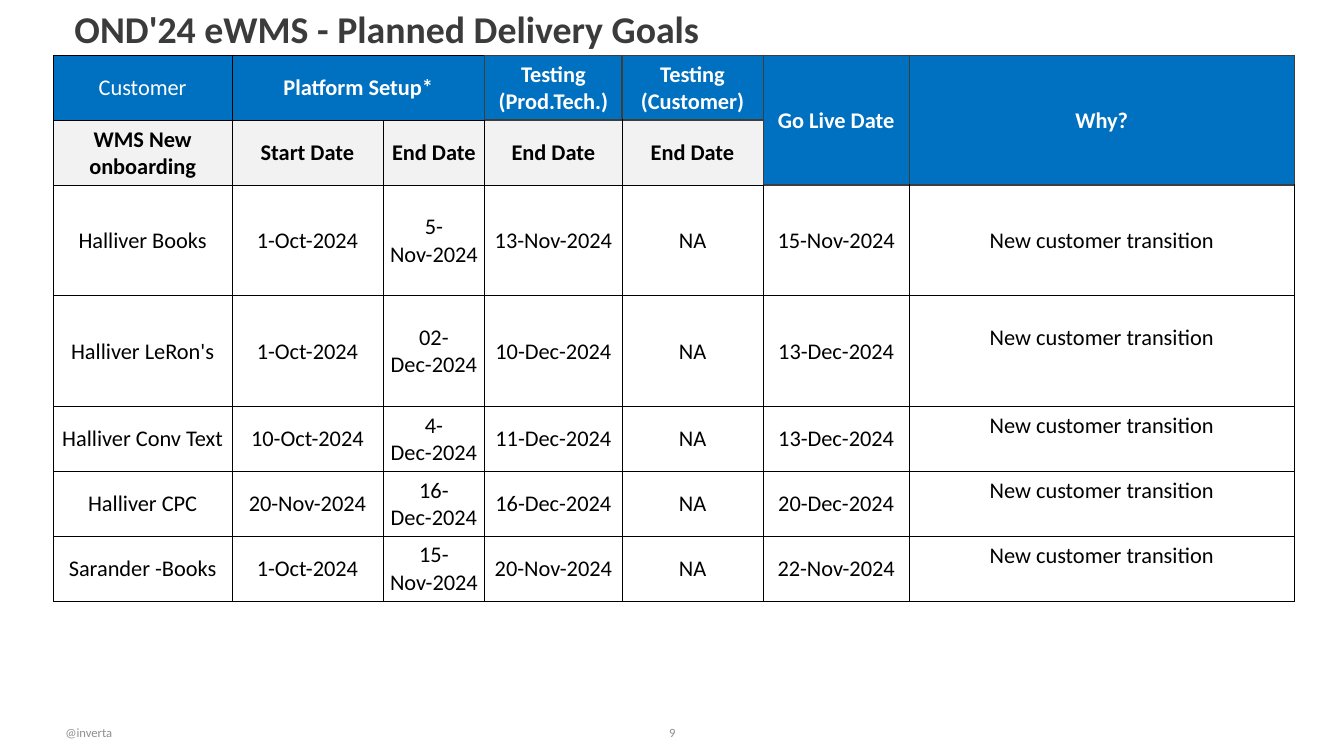
from dataclasses import dataclass

from lxml.etree import SubElement
from pptx import Presentation
from pptx.dml.color import RGBColor
from pptx.enum.text import MSO_ANCHOR as Anchor, MSO_AUTO_SIZE as AutoSize, PP_ALIGN as Align
from pptx.oxml.ns import qn
from pptx.util import Pt


@dataclass(frozen=True)
class Theme:
    font: str = "Calibri"
    title: str = "3B3B3B"
    footer: str = "8D8E8E"
    header: str = "0070C0"
    subheader: str = "F2F2F2"
    white: str = "FFFFFF"
    black: str = "000000"
    header_line: str = "3D3D3D"
    title_size: float = 27
    table_size: float = 16
    footer_size: float = 9


THEME = Theme()

COLUMN_WIDTHS = [127.4, 108, 72.7, 98, 100.8, 104.4, 275]
HEADER_HEIGHT, TALL_HEIGHT, ROW_HEIGHT = 46.4, 79, 46.4
LINE_HEIGHT = 19.5
WHY = "New customer transition"
HEADERS = [
    ["Customer", "Platform Setup*", "", "Testing\n(Prod.Tech.)", "Testing\n(Customer)",
     "Go Live Date", "Why?"],
    ["WMS New onboarding", "Start Date", "End Date", "End Date", "End Date", "", ""],
]
GOALS = [
    ["Halliver Books", "1-Oct-2024", "5-Nov-2024", "13-Nov-2024", "NA", "15-Nov-2024", WHY],
    ["Halliver LeRon's", "1-Oct-2024", "02-Dec-2024", "10-Dec-2024", "NA", "13-Dec-2024", WHY],
    ["Halliver Conv Text", "10-Oct-2024", "4-Dec-2024", "11-Dec-2024", "NA", "13-Dec-2024", WHY],
    ["Halliver CPC", "20-Nov-2024", "16-Dec-2024", "16-Dec-2024", "NA", "20-Dec-2024", WHY],
    ["Sarander -Books", "1-Oct-2024", "15-Nov-2024", "20-Nov-2024", "NA", "22-Nov-2024", WHY],
]
WHY_COLUMN = len(COLUMN_WIDTHS) - 1


def write(frame, text, size, color, bold=False, align=Align.LEFT):
    frame.text = text
    for para in frame.paragraphs:
        para.alignment = align
        for span in para.runs:
            span.font.name = THEME.font
            span.font.size = Pt(size)
            span.font.bold = bold
            span.font.color.rgb = RGBColor.from_string(color)


def place(shape, left, top, width, height):
    shape.left, shape.top, shape.width, shape.height = map(Pt, (left, top, width, height))


def add_title(page, text, box):
    title = page.shapes.title
    place(title, *box)
    frame = title.text_frame
    write(frame, text, THEME.title_size, THEME.title, bold=True)
    frame.auto_size = AutoSize.NONE
    frame.vertical_anchor = Anchor.MIDDLE
    frame.paragraphs[0].line_spacing = 0.9


def add_footer(page, text, box, align):
    frame = page.shapes.add_textbox(*map(Pt, box)).text_frame
    frame.word_wrap = True
    frame.vertical_anchor = Anchor.MIDDLE
    write(frame, text, THEME.footer_size, THEME.footer, align=align)


def set_borders(cell, color, width):
    properties = cell._tc.get_or_add_tcPr()
    for index, side in enumerate(("lnL", "lnR", "lnT", "lnB")):
        line = SubElement(properties, qn(f"a:{side}"), w=str(Pt(width)))
        SubElement(SubElement(line, qn("a:solidFill")), qn("a:srgbClr"), val=color)
        properties.insert(index, line)


def style_cell(cell, row, column, text):
    in_header = row < len(HEADERS)
    is_blue = row == 0 or (in_header and column >= 5)
    fill = THEME.header if is_blue else THEME.subheader if in_header else THEME.white
    cell.fill.solid()
    cell.fill.fore_color.rgb = RGBColor.from_string(fill)
    if is_blue and column >= 3:
        set_borders(cell, THEME.header_line, 1)
    else:
        set_borders(cell, THEME.black, 0.5)
    cell.vertical_anchor = Anchor.MIDDLE
    cell.margin_left = cell.margin_right = cell.margin_top = Pt(0.75)
    # The reasons below the first customer sit half a line above the middle.
    raised = column == WHY_COLUMN and row > len(HEADERS)
    cell.margin_bottom = Pt(LINE_HEIGHT if raised else 0)
    write(cell.text_frame, text, THEME.table_size, THEME.white if is_blue else THEME.black,
          bold=in_header and (row, column) != (0, 0), align=Align.CENTER)


def add_goals_table(page, left, top):
    content = HEADERS + GOALS
    heights = [HEADER_HEIGHT] * 2 + [TALL_HEIGHT] * 2 + [ROW_HEIGHT] * 3
    table = page.shapes.add_table(len(content), len(COLUMN_WIDTHS), Pt(left), Pt(top),
                                  Pt(sum(COLUMN_WIDTHS)), Pt(sum(heights))).table
    table.first_row = table.horz_banding = False
    for column, width in zip(table.columns, COLUMN_WIDTHS):
        column.width = Pt(width)
    for row, height in zip(table.rows, heights):
        row.height = Pt(height)
    for row, texts in enumerate(content):
        for column, text in enumerate(texts):
            style_cell(table.cell(row, column), row, column, text)
    table.cell(0, 1).merge(table.cell(0, 2))
    for column in (5, 6):
        table.cell(0, column).merge(table.cell(1, column))


def main():
    deck = Presentation()
    deck.slide_width, deck.slide_height = Pt(960), Pt(540)
    page = deck.slides.add_slide(deck.slide_layouts[5])
    add_title(page, "OND'24 eWMS - Planned Delivery Goals", (46, 0, 868, 45))
    add_footer(page, "@inverta", (39.6, 508.5, 83.5, 28.8), Align.LEFT)
    add_footer(page, "9", (463, 508.5, 34.5, 28.8), Align.CENTER)
    add_goals_table(page, 38.2, 39.4)
    deck.save("out.pptx")


if __name__ == "__main__":
    main()
